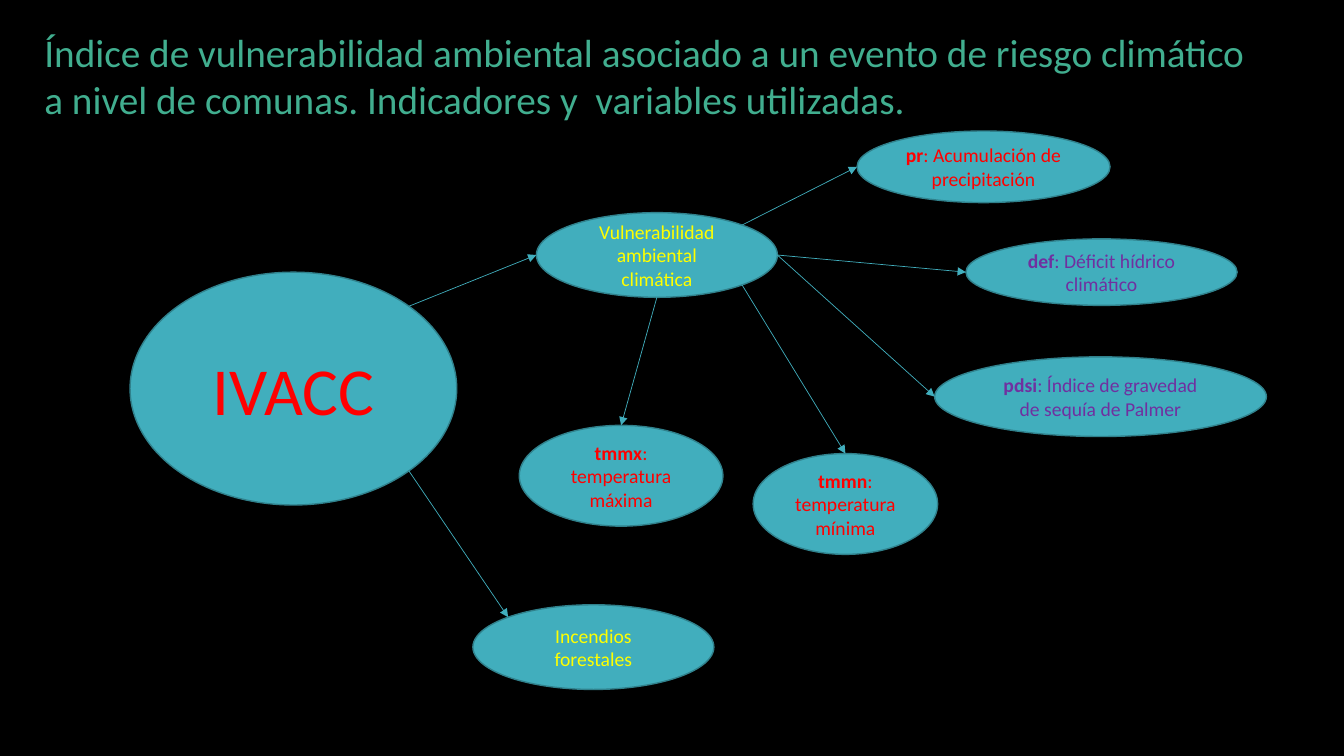
import math
import pptx
import pptx.util
import pptx.dml.color
import pptx.enum.shapes
import pptx.enum.text
import pptx.oxml
import pptx.oxml.ns

Inches, Pt = pptx.util.Inches, pptx.util.Pt
RGBColor = pptx.dml.color.RGBColor
MSO_ANCHOR = pptx.enum.text.MSO_ANCHOR
PP_ALIGN = pptx.enum.text.PP_ALIGN

BLACK = RGBColor(0x00, 0x00, 0x00)
TEAL = RGBColor(0x41, 0xAE, 0xBD)
DARK_TEAL = RGBColor(0x30, 0x81, 0x8C)
GREEN = RGBColor(0x41, 0xAE, 0x8F)
RED = RGBColor(0xFF, 0x00, 0x00)
PURPLE = RGBColor(0x70, 0x30, 0xA0)
YELLOW = RGBColor(0xFF, 0xFF, 0x00)

# Connection sites of an ellipse, counterclockwise from the top
TOP, TOP_LEFT, LEFT, BOTTOM_LEFT, BOTTOM, BOTTOM_RIGHT, RIGHT, TOP_RIGHT = range(8)


def site_point(sp, site):
    angle = math.radians(90 + 45 * site)
    x = sp.left + sp.width / 2 * (1 + math.cos(angle))
    y = sp.top + sp.height / 2 * (1 - math.sin(angle))
    return round(x), round(y)


prs = pptx.Presentation()
prs.slide_width, prs.slide_height = Inches(13.33), Inches(7.5)
s = prs.slides.add_slide(prs.slide_layouts[5])
s.background.fill.solid()
s.background.fill.fore_color.rgb = BLACK

# Title
title = s.shapes.title
title.left, title.top = Inches(0.34), Inches(0.23)
title.width, title.height = Inches(12.35), Inches(1.04)
tf = title.text_frame
tf.text = ("Índice de vulnerabilidad ambiental asociado a un evento de riesgo climático "
           "a nivel de comunas. Indicadores y  variables utilizadas.")
tf.word_wrap = True
tf.auto_size = pptx.enum.text.MSO_AUTO_SIZE.SHAPE_TO_FIT_TEXT
tf.vertical_anchor = MSO_ANCHOR.TOP
p = tf.paragraphs[0]
p.alignment = PP_ALIGN.LEFT
p.font.name, p.font.size = "Calibri", Pt(28)
p.font.color.rgb = GREEN

# Ellipses: key, left, top, width, height, bold code, text, size, colour
nodes = [
    ("ivacc", 1.29, 2.7, 3.24, 2.31, "", "IVACC", 48, RED),
    ("climate", 5.32, 2.11, 2.39, 0.84, "", "Vulnerabilidad ambiental climática", 14, YELLOW),
    ("fires", 4.69, 6, 2.39, 0.84, "", "Incendios forestales", 14, YELLOW),
    ("pr", 8.5, 1.3, 2.51, 0.71, "pr", ": Acumulación de precipitación", 14, RED),
    ("def", 9.58, 2.37, 2.69, 0.66, "def", ": Déficit hídrico climático", 14, PURPLE),
    ("pdsi", 9.27, 3.54, 3.29, 0.79, "pdsi", ": Índice de gravedad de sequía de Palmer", 14, PURPLE),
    ("tmmx", 5.15, 4.22, 2.02, 1, "tmmx", ": temperatura máxima", 14, RED),
    ("tmmn", 7.47, 4.5, 1.83, 1, "tmmn", ": temperatura mínima", 14, RED),
]
ellipses = {}
for key, left, top, width, height, code, text, size, colour in nodes:
    sp = s.shapes.add_shape(pptx.enum.shapes.MSO_SHAPE.OVAL, Inches(left), Inches(top),
                            Inches(width), Inches(height))
    sp.shadow.inherit = False
    sp.fill.solid()
    sp.fill.fore_color.rgb = TEAL
    sp.line.color.rgb = DARK_TEAL
    sp.line.width = Pt(1)
    tf = sp.text_frame
    tf.word_wrap = True
    tf.vertical_anchor = MSO_ANCHOR.MIDDLE
    p = tf.paragraphs[0]
    p.alignment = PP_ALIGN.CENTER
    p.font.name, p.font.size = "Calibri", Pt(size)
    p.font.color.rgb = colour
    if code:
        r = p.add_run()
        r.text = code
        r.font.bold = True
    p.add_run().text = text
    ellipses[key] = sp

# Arrows, attached to the ellipses
arrows = [
    ("ivacc", TOP_RIGHT, "climate", LEFT),
    ("ivacc", BOTTOM_RIGHT, "fires", TOP_LEFT),
    ("climate", TOP_RIGHT, "pr", LEFT),
    ("climate", RIGHT, "def", LEFT),
    ("climate", RIGHT, "pdsi", LEFT),
    ("climate", BOTTOM, "tmmx", TOP),
    ("climate", BOTTOM_RIGHT, "tmmn", TOP),
]
for start, start_site, end, end_site in arrows:
    begin, finish = ellipses[start], ellipses[end]
    c = s.shapes.add_connector(pptx.enum.shapes.MSO_CONNECTOR.STRAIGHT,
                               *site_point(begin, start_site), *site_point(finish, end_site))
    c.line.color.rgb = TEAL
    c.line.width = Pt(0.5)
    ln = c.line._get_or_add_ln()
    ln.append(pptx.oxml.parse_xml(
        '<a:tailEnd %s type="triangle"/>' % pptx.oxml.ns.nsdecls("a")))
    c._element.spPr.append(pptx.oxml.parse_xml(
        "<a:effectLst %s/>" % pptx.oxml.ns.nsdecls("a")))
    glue = c._element.nvCxnSpPr.cNvCxnSpPr
    st, en = glue.get_or_add_stCxn(), glue.get_or_add_endCxn()
    st.id, st.idx = begin.shape_id, start_site
    en.id, en.idx = finish.shape_id, end_site

prs.save("out.pptx")
